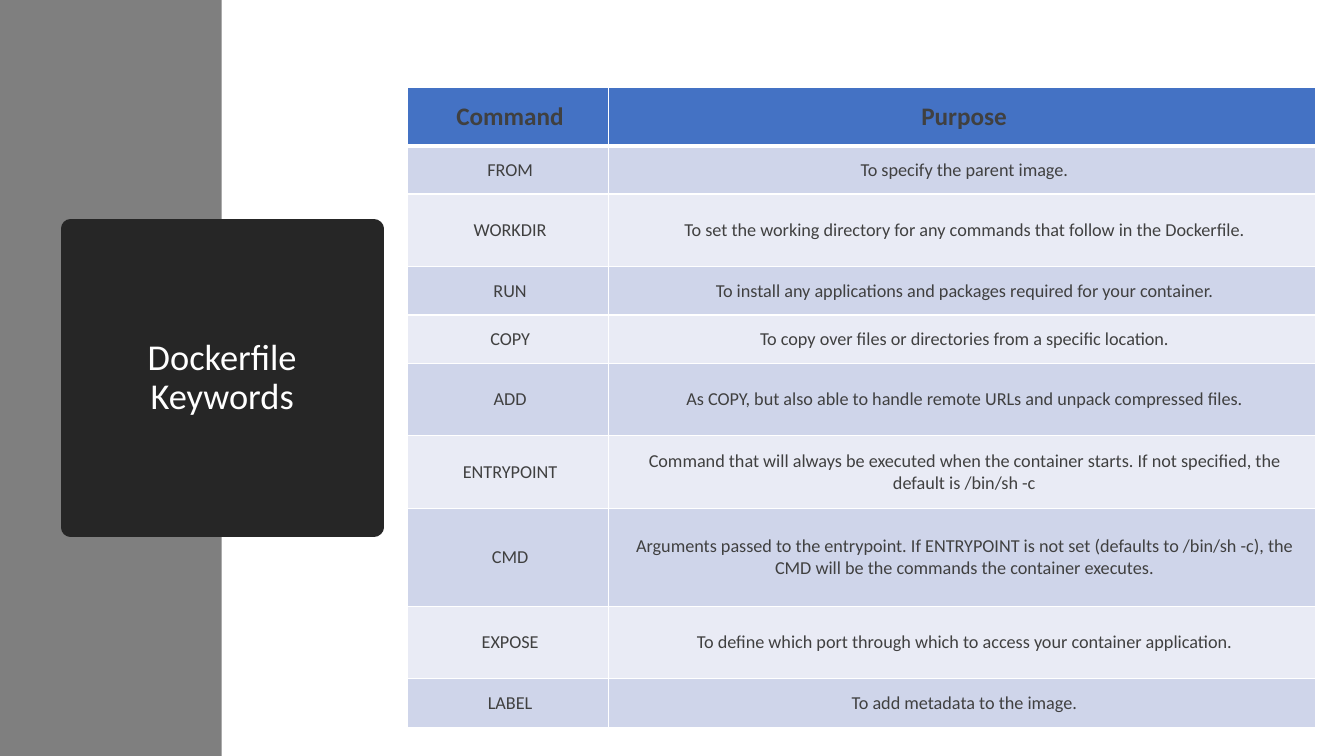
from lxml.etree import SubElement
from pptx import Presentation
from pptx.dml.color import RGBColor
from pptx.enum.shapes import MSO_SHAPE as Shape
from pptx.enum.text import MSO_ANCHOR as Anchor, MSO_AUTO_SIZE as AutoSize, PP_ALIGN as Align
from pptx.oxml import parse_xml
from pptx.oxml.ns import nsdecls, qn
from pptx.util import Pt

WHITE = RGBColor(0xFF, 0xFF, 0xFF)
GREY = RGBColor(0x7F, 0x7F, 0x7F)
BLACK = RGBColor(0x26, 0x26, 0x26)
TEXT = RGBColor(0x40, 0x40, 0x40)
BLUE = RGBColor(0x44, 0x72, 0xC4)
BANDS = (RGBColor(0xCF, 0xD5, 0xEA), RGBColor(0xE9, 0xEB, 0xF5))

SHORT, MEDIUM, TALL = 34.56, 51.84, 69.84
HEADER = ("Command", "Purpose", 41.76)
KEYWORDS = [
    ("FROM", "To specify the parent image.", SHORT),
    ("WORKDIR", "To set the working directory for any commands that follow in the Dockerfile.", MEDIUM),
    ("RUN", "To install any applications and packages required for your container.", SHORT),
    ("COPY", "To copy over files or directories from a specific location.", SHORT),
    ("ADD", "As COPY, but also able to handle remote URLs and unpack compressed files.", MEDIUM),
    ("ENTRYPOINT", "Command that will always be executed when the container starts. "
     "If not specified, the default is /bin/sh -c", MEDIUM),
    ("CMD", "Arguments passed to the entrypoint. If ENTRYPOINT is not set (defaults to /bin/sh -c), "
     "the CMD will be the commands the container executes.", TALL),
    ("EXPOSE", "To define which port through which to access your container application.", MEDIUM),
    ("LABEL", "To add metadata to the image.", SHORT),
]


def apply(target, values):
    for name, value in values.items():
        setattr(target, name, value)


class SlideBuilder:
    font = "Calibri"
    cell_format = {
        "vertical_anchor": Anchor.MIDDLE,
        "margin_left": Pt(10.8), "margin_right": Pt(7.92),
        "margin_top": Pt(5.04), "margin_bottom": Pt(5.04),
    }

    def __init__(self, page):
        self.page = page

    def add_text(self, frame, text, size, color, bold=False, spacing=None):
        para = frame.paragraphs[0]
        apply(para, {"alignment": Align.CENTER, "line_spacing": spacing})
        span = para.add_run()
        span.text = text
        apply(span.font, {"name": self.font, "size": Pt(size), "bold": bold})
        span.font.color.rgb = color

    def band(self, left, top, width, height, color):
        box = self.page.shapes.add_shape(
            Shape.RECTANGLE, Pt(left), Pt(top), Pt(width), Pt(height))
        box.shadow.inherit = False
        box.fill.solid()
        box.fill.fore_color.rgb = color
        box.line.fill.background()
        # The band lies behind the title
        self.page.shapes.title._element.addprevious(box._element)

    def title(self, text, left, top, width, height, color, border):
        box = self.page.shapes.title
        apply(box, {"left": Pt(left), "top": Pt(top), "width": Pt(width), "height": Pt(height)})
        box.fill.solid()
        box.fill.fore_color.rgb = color
        box.line.color.rgb = color
        box.line.width = Pt(border)
        # Round joins give the block its soft corners
        SubElement(box._element.spPr.find(qn("a:ln")), qn("a:round"))
        apply(box.text_frame, {"word_wrap": True, "auto_size": AutoSize.NONE,
                               "vertical_anchor": Anchor.MIDDLE})
        self.add_text(box.text_frame, text, 26, WHITE, spacing=0.9)

    def borders(self, cell, top, bottom):
        widths = {"lnL": 1, "lnR": 1, "lnT": top, "lnB": bottom}
        properties = cell._tc.get_or_add_tcPr()
        for place, (tag, width) in enumerate(widths.items()):
            properties.insert(place, parse_xml(
                f'<a:{tag} {nsdecls("a")} w="{Pt(width)}"><a:solidFill>'
                f'<a:srgbClr val="{WHITE}"/></a:solidFill></a:{tag}>'))

    def table(self, rows, left, top, widths):
        height = sum(row[-1] for row in rows)
        table = self.page.shapes.add_table(
            len(rows), len(widths), Pt(left), Pt(top), Pt(sum(widths)), Pt(height)).table
        for column, width in zip(table.columns, widths):
            column.width = Pt(width)
        for index, (*texts, row_height) in enumerate(rows):
            table.rows[index].height = Pt(row_height)
            header = index == 0
            for cell, text in zip(table.rows[index].cells, texts):
                apply(cell, self.cell_format)
                cell.fill.solid()
                cell.fill.fore_color.rgb = BLUE if header else BANDS[(index - 1) % 2]
                self.borders(cell, 3 if index == 1 else 1, 3 if header else 1)
                self.add_text(cell.text_frame, text, 18 if header else 13, TEXT, header)


def main():
    deck = Presentation()
    apply(deck, {"slide_width": Pt(960), "slide_height": Pt(540)})
    builder = SlideBuilder(deck.slides.add_slide(deck.slide_layouts[5]))

    # Side band and title block
    builder.band(0, 0, 158.4, 540, GREY)
    builder.title("Dockerfile Keywords", 50.4, 163.44, 216.72, 213.12, BLACK, 13.75)

    # Keyword table
    builder.table([HEADER, *KEYWORDS], 290.88, 62.3, (144, 504.72))

    deck.save("out.pptx")


if __name__ == "__main__":
    main()
